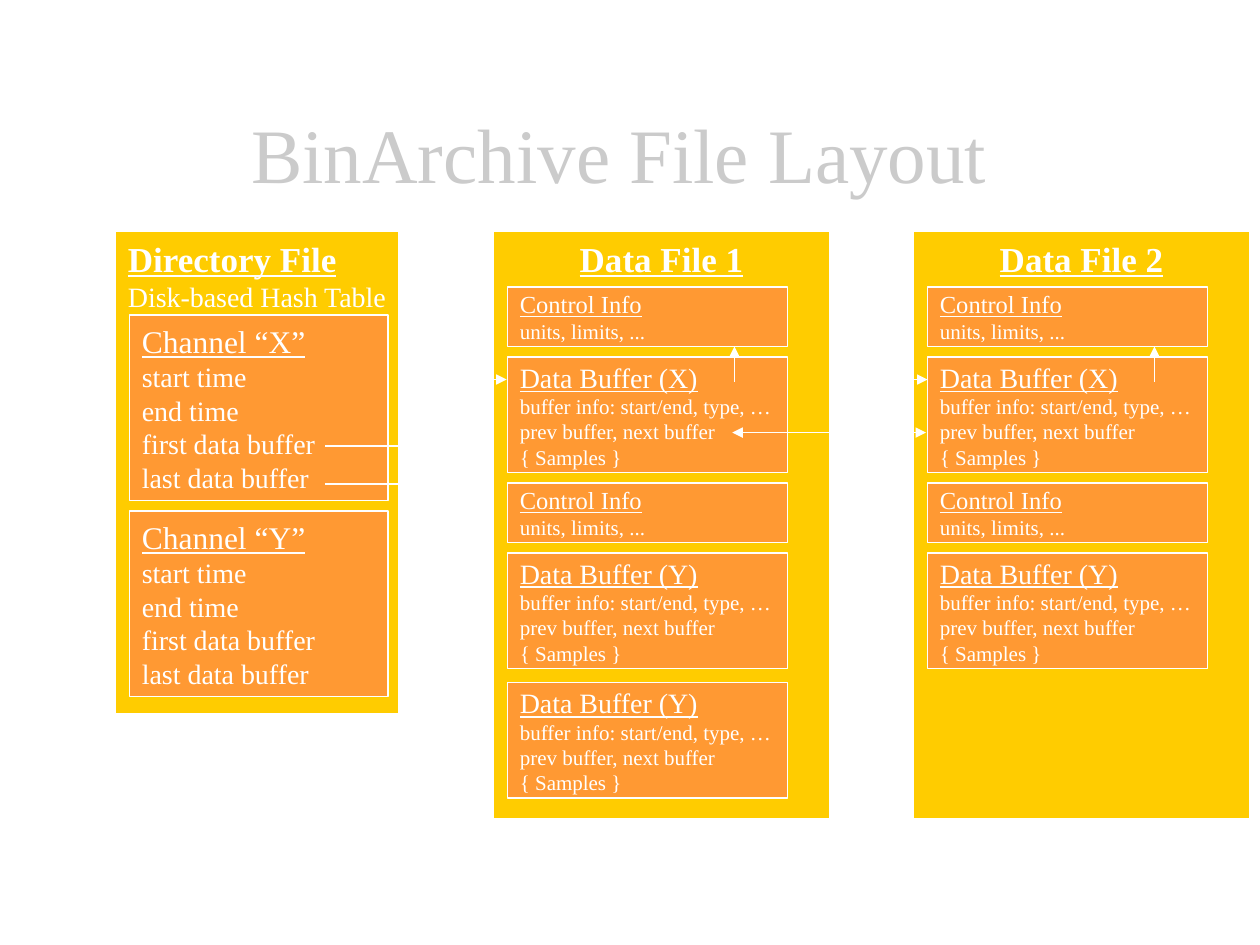
from collections import namedtuple
from dataclasses import dataclass

from lxml import etree
from pptx import Presentation
from pptx.dml.color import RGBColor
from pptx.enum.shapes import MSO_CONNECTOR, MSO_SHAPE
from pptx.enum.text import MSO_ANCHOR, PP_ALIGN
from pptx.oxml.ns import qn
from pptx.util import Inches, Pt

RECT = MSO_SHAPE.RECTANGLE
STRAIGHT = MSO_CONNECTOR.STRAIGHT
TOP, MIDDLE = MSO_ANCHOR.TOP, MSO_ANCHOR.MIDDLE
LEFT, CENTER = PP_ALIGN.LEFT, PP_ALIGN.CENTER

# The page is a grid of square cells, twelve to the inch
CELLS_PER_INCH = 12
PAGE_COLUMNS, PAGE_ROWS = 120, 90

Box = namedtuple("Box", "left top width height")


@dataclass(frozen=True)
class Theme:
    font: str = "Times New Roman"
    title_color: str = "CBCBCB"
    text_color: str = "FFFFFF"
    line_color: str = "FFFFFF"
    file_fill: str = "FFCC00"
    record_fill: str = "FF9933"
    title_size: int = 44
    file_size: int = 20
    channel_size: int = 18
    body_size: int = 16
    control_size: int = 14
    detail_size: int = 12
    line_width: int = 1


THEME = Theme()


def cells(count):
    return Inches(count / CELLS_PER_INCH)


def inside(outer, left, top, width, height):
    return Box(outer.left + left, outer.top + top, width, height)


def add_span(para, text, size, color=THEME.text_color, bold=False, underline=False):
    span = para.add_run()
    span.text = text
    font = span.font
    font.name, font.size = THEME.font, Pt(size)
    font.bold, font.underline = bold, underline
    font.color.rgb = RGBColor.from_string(color)


def set_frame(frame, anchor, wrap=True):
    frame.word_wrap = wrap
    frame.vertical_anchor = anchor
    return frame


def add_panel(page, box, fill, anchor=MIDDLE, wrap=True):
    panel = page.shapes.add_shape(RECT, *map(cells, box))
    panel.shadow.inherit = False
    panel.fill.solid()
    panel.fill.fore_color.rgb = RGBColor.from_string(fill)
    panel.line.color.rgb = RGBColor.from_string(THEME.line_color)
    panel.line.width = Pt(THEME.line_width)
    return set_frame(panel.text_frame, anchor, wrap)


def add_lines(frame, heading, heading_size, lines=(), size=THEME.body_size,
              bold=False, align=LEFT):
    """Underlined heading, then one plain paragraph for each line."""
    para = frame.paragraphs[0]
    para.alignment = align
    add_span(para, heading, heading_size, bold=bold, underline=True)
    for line in lines:
        para = frame.add_paragraph()
        para.alignment = align
        add_span(para, line, size)


def add_title(page, box):
    frame = set_frame(page.shapes.add_textbox(*map(cells, box)).text_frame, MIDDLE)
    para = frame.paragraphs[0]
    para.alignment = CENTER
    add_span(para, "BinArchive File Layout", THEME.title_size, THEME.title_color)


def add_directory(page, box):
    frame = add_panel(page, box, THEME.file_fill, TOP, wrap=False)
    add_lines(frame, "Directory File", THEME.file_size,
              ["Disk-based Hash Table"], bold=True)
    fields = ["start time", "end time", "first data buffer", "last data buffer"]
    for index, channel in enumerate("XY"):
        channel_box = inside(box, 1.33, 8 + index * 18.67, 24.6, 17.67)
        frame = add_panel(page, channel_box, THEME.record_fill)
        add_lines(frame, f"Channel “{channel}”", THEME.channel_size, fields)


def add_control(page, box):
    frame = add_panel(page, box, THEME.record_fill)
    para = frame.paragraphs[0]
    para.alignment = LEFT
    add_span(para, "Control Info", THEME.control_size, underline=True)
    para.add_line_break()
    add_span(para, "units, limits, ...", THEME.detail_size)


def add_buffer(page, box, channel):
    frame = add_panel(page, box, THEME.record_fill)
    details = ["buffer info: start/end, type, …", "prev buffer, next buffer",
               "{ Samples }"]
    add_lines(frame, f"Data Buffer ({channel})", THEME.body_size, details,
              THEME.detail_size)


def add_data_file(page, box, name, extra_buffer=False):
    frame = add_panel(page, box, THEME.file_fill, TOP)
    add_lines(frame, name, THEME.file_size, bold=True, align=CENTER)
    record_left, record_width = 1.33, 26.67
    for index, channel in enumerate("XY"):
        shift = index * 18.67
        add_control(page, inside(box, record_left, 5.33 + shift, record_width, 5.67))
        add_buffer(page, inside(box, record_left, 12 + shift, record_width, 11), channel)
    if extra_buffer:
        add_buffer(page, inside(box, record_left, 43, record_width, 11), "Y")


def add_link(page, start, end, head=False, tail=False):
    link = page.shapes.add_connector(STRAIGHT, *map(cells, start + end))
    link.line.color.rgb = RGBColor.from_string(THEME.line_color)
    link.line.width = Pt(THEME.line_width)
    properties = link._element.spPr
    outline = properties.find(qn("a:ln"))
    for tag, shown in (("a:headEnd", head), ("a:tailEnd", tail)):
        if shown:
            etree.SubElement(outline, qn(tag), type="triangle")
    etree.SubElement(properties, qn("a:effectLst"))


def add_route(page, points):
    """Chain of straight links with an arrowhead on the last one."""
    last = len(points) - 2
    for index, (start, end) in enumerate(zip(points, points[1:])):
        add_link(page, start, end, tail=index == last)


def add_pointers(page, first_file, second_file):
    pointer_left, trunk, gutter = 31, 40.25, 82.9
    first_row, last_row, entry_row, bottom_row = 42.5, 46.1, 36.15, 80.4
    # First and last data buffer of channel X
    add_route(page, [(pointer_left, first_row), (trunk, first_row),
                     (trunk, entry_row), (first_file.left + 1.25, entry_row)])
    add_route(page, [(pointer_left, last_row), (trunk, last_row),
                     (trunk, bottom_row), (gutter, bottom_row),
                     (gutter, entry_row), (second_file.left + 1.33, entry_row)])
    # Each buffer back to its control info
    for box in (first_file, second_file):
        column = box.left + 22.95
        add_link(page, (column, 36.35), (column, 33), tail=True)
    # Neighbouring buffers
    add_link(page, (first_file.left + 22.75, 41.2), (second_file.left + 1.2, 41.2),
             head=True, tail=True)


def main():
    deck = Presentation()
    deck.slide_width, deck.slide_height = cells(PAGE_COLUMNS), cells(PAGE_ROWS)
    page = deck.slides.add_slide(deck.slide_layouts[6])

    files_top = 22
    first_file = Box(47, files_top, 32, 56)
    second_file = first_file._replace(left=87)

    add_title(page, Box(8, 7, 102, 15))
    add_directory(page, Box(11, files_top, 27, 46))
    add_data_file(page, first_file, "Data File 1", extra_buffer=True)
    add_data_file(page, second_file, "Data File 2")
    add_pointers(page, first_file, second_file)
    deck.save("out.pptx")


if __name__ == "__main__":
    main()
